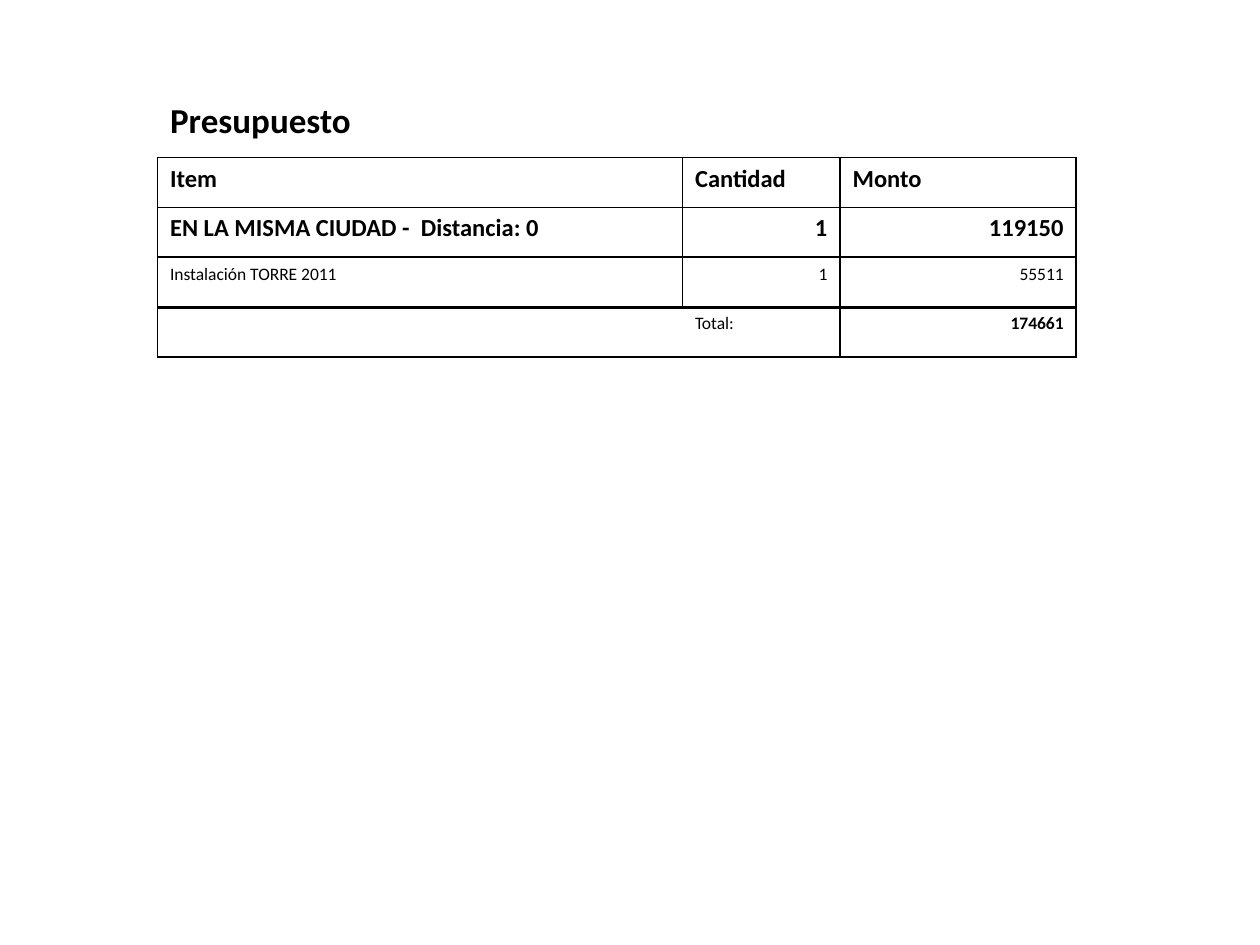
from dataclasses import dataclass

from lxml import etree
from pptx import Presentation
from pptx.dml.color import RGBColor
from pptx.enum import text
from pptx.oxml import ns
from pptx.util import Pt

INK = "000000"
PAPER = "FFFFFF"
FACE = "Calibri"
LEFT, TOP, HIGH = 90, 90, 28.5
COLS = (300, 90, 135)


@dataclass
class Entry:
    words: str
    size: int = 10
    bold: bool = False
    right: bool = False
    fill: bool = True
    edges: tuple = (1, 1, 1, 1)


@dataclass
class Row:
    cells: list[Entry]


def color(code: str) -> RGBColor:
    return RGBColor.from_string(code)


def style(para, size: int, bold: bool, right: bool = False) -> None:
    para.font.name = FACE
    para.font.size = Pt(size)
    para.font.bold = bold
    para.font.color.rgb = color(INK)
    para.alignment = text.PP_ALIGN.RIGHT if right else text.PP_ALIGN.LEFT


def border(cell, edges: tuple) -> None:
    props = cell._tc.get_or_add_tcPr()
    for side, width in zip("LRTB", edges):
        line = etree.SubElement(props, ns.qn(f"a:ln{side}"), w=str(Pt(width)))
        if width:
            fill = etree.SubElement(line, ns.qn("a:solidFill"))
            etree.SubElement(fill, ns.qn("a:srgbClr"), val=INK)
        else:
            etree.SubElement(line, ns.qn("a:noFill"))


def draw_cell(cell, entry: Entry) -> None:
    cell.text = entry.words
    style(cell.text_frame.paragraphs[0], entry.size, entry.bold, entry.right)
    border(cell, entry.edges)
    if entry.fill:
        cell.fill.solid()
        cell.fill.fore_color.rgb = color(PAPER)
    else:
        cell.fill.background()


def draw_table(slide, rows: list[Row]) -> None:
    frame = slide.shapes.add_table(
        len(rows), len(COLS), Pt(LEFT), Pt(TOP), Pt(sum(COLS)), Pt(HIGH * len(rows))
    )
    table = frame.table
    table.first_row = table.horz_banding = False
    for col, width in zip(table.columns, COLS):
        col.width = Pt(width)
    for r, row in enumerate(rows):
        table.rows[r].height = Pt(HIGH)
        for c, entry in enumerate(row.cells):
            draw_cell(table.cell(r, c), entry)


def draw_title(slide, words: str) -> None:
    title = slide.shapes.title
    title.left, title.top = Pt(LEFT), Pt(52.5)
    title.width, title.height = Pt(450), Pt(225)
    frame = title.text_frame
    frame.text = words
    frame.word_wrap = True
    frame.auto_size = text.MSO_AUTO_SIZE.NONE
    frame.vertical_anchor = text.MSO_ANCHOR.TOP
    style(frame.paragraphs[0], 20, True)


def main() -> None:
    deck = Presentation()
    deck.slide_width, deck.slide_height = Pt(720), Pt(540)
    slide = deck.slides.add_slide(deck.slide_layouts[5])
    draw_title(slide, "Presupuesto")
    thick = (1, 1, 1, 2)
    rows = [
        Row([Entry(word, 14, True) for word in ("Item", "Cantidad", "Monto")]),
        Row([
            Entry("EN LA MISMA CIUDAD -  Distancia: 0", 14, True),
            Entry("1", 14, True, right=True),
            Entry("119150", 14, True, right=True),
        ]),
        Row([
            Entry("Instalación TORRE 2011", edges=thick),
            Entry("1", right=True, edges=thick),
            Entry("55511", right=True, edges=thick),
        ]),
        Row([
            Entry("", fill=False, edges=(1, 0, 2, 1)),
            Entry("Total:", fill=False, edges=(0, 1, 2, 1)),
            Entry("174661", bold=True, right=True, fill=False, edges=(1, 1, 2, 1)),
        ]),
    ]
    draw_table(slide, rows)
    deck.save("out.pptx")


if __name__ == "__main__":
    main()
